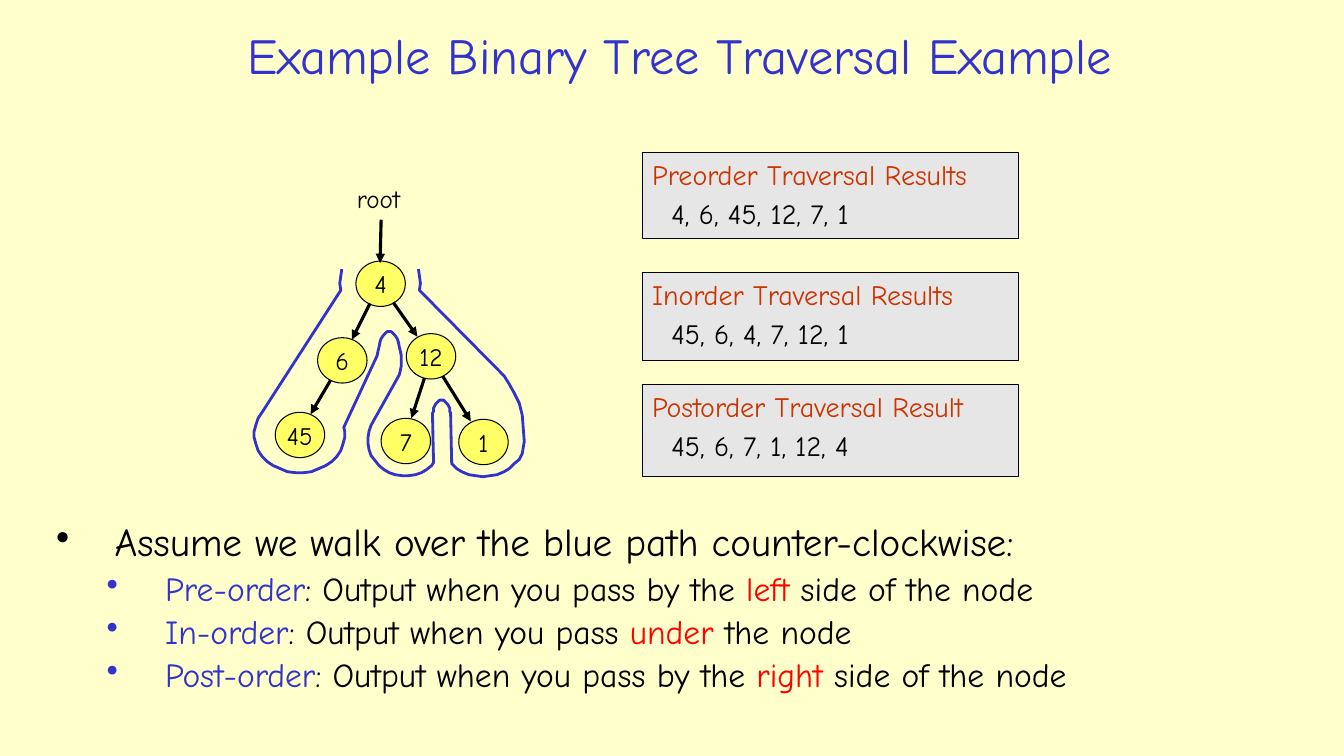
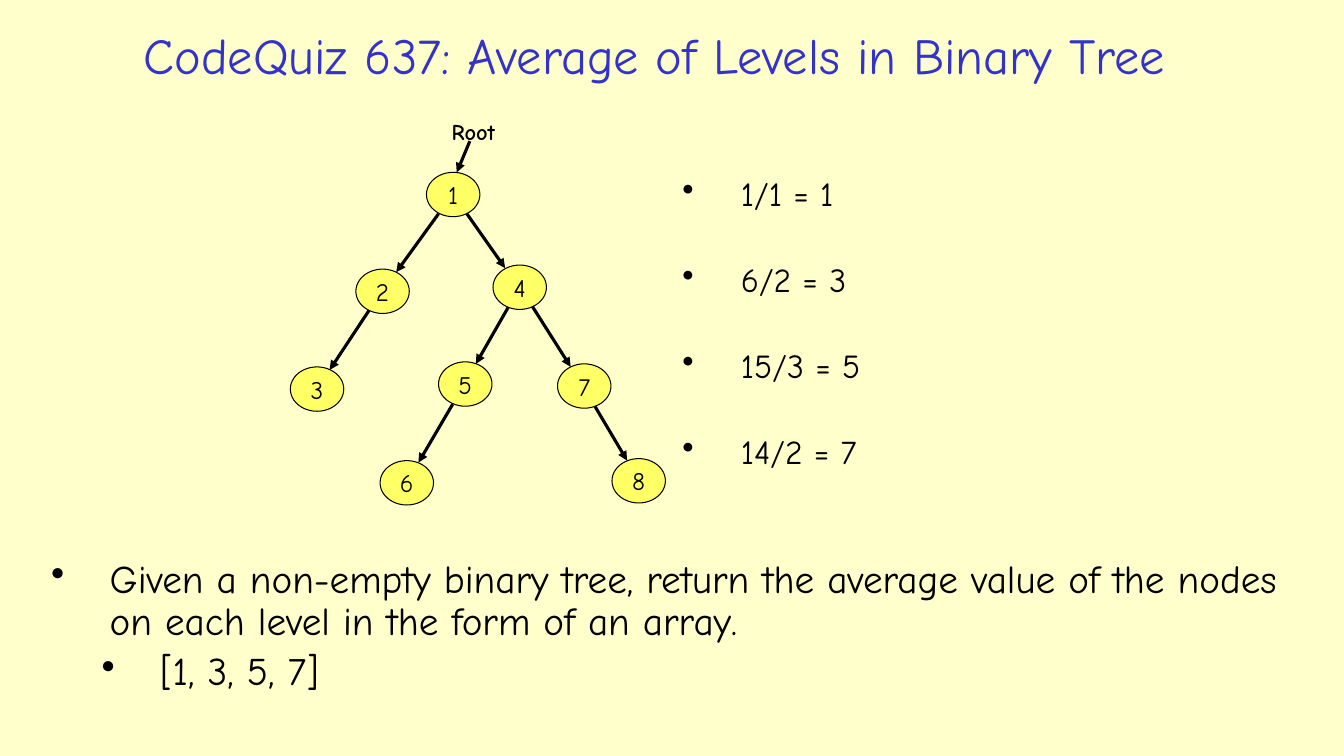
import math

from lxml import etree
from pptx import Presentation
from pptx import util as u
from pptx.dml.color import RGBColor
from pptx.enum import shapes, text
from pptx.oxml import ns

PX = 9144
CREAM = RGBColor(0xFF, 0xFF, 0xCC)
BLUE = RGBColor(0x33, 0x33, 0xCC)
RUST = RGBColor(0xCC, 0x33, 0x00)
RED = RGBColor(0xFF, 0x00, 0x00)
GREY = RGBColor(0xE6, 0xE6, 0xE6)
GOLD = RGBColor(0xFF, 0xFF, 0x66)
BLACK = RGBColor(0x00, 0x00, 0x00)
FACE = "Comic Neue"
FIT = text.MSO_AUTO_SIZE.SHAPE_TO_FIT_TEXT
MID = text.MSO_ANCHOR.MIDDLE
MAIN = dict(left=58, hang=58, size=28)
SUB = dict(left=108, hang=58, size=24, level=1)


def px(*nums):
    return [u.Emu(round(n) * PX) for n in nums]


def put(obj, form):
    for key, val in form.items():
        setattr(obj, key, val)


def arc(hub, wide, high, start, stop, step=10):
    turn = step if stop > start else -step
    for deg in [*range(start, stop, turn), stop]:
        ang = math.radians(deg)
        yield hub[0] + wide * math.cos(ang), hub[1] + high * math.sin(ang)


def rim(hub, goal, wide, high):
    dx, dy = goal[0] - hub[0], goal[1] - hub[1]
    part = 1 / math.hypot(2 * dx / wide, 2 * dy / high)
    return hub[0] + dx * part, hub[1] + dy * part


class Deck:
    def __init__(self):
        self.prs = Presentation()
        self.prs.slide_width, self.prs.slide_height = px(1333, 750)
        self.slide = None

    def page(self, name, left, width):
        self.slide = self.prs.slides.add_slide(self.prs.slide_layouts[6])
        fill = self.slide.background.fill
        fill.solid()
        fill.fore_color.rgb = CREAM
        frame = self.area((left, 16, width, 76), vertical_anchor=MID)
        self.para(frame, name, 36, BLUE, align=text.PP_ALIGN.CENTER)

    def area(self, at, **form):
        frame = self.slide.shapes.add_textbox(*px(*at)).text_frame
        put(frame, dict(word_wrap=True) | form)
        return frame

    def para(self, frame, runs, size, tint=BLACK, align=text.PP_ALIGN.LEFT,
             left=0, hang=0, level=0, gap=None, bold=False):
        first = not frame.paragraphs[0].runs
        par = frame.paragraphs[0] if first else frame.add_paragraph()
        prop = par._p.get_or_add_pPr()
        prop.set("marL", str(left * PX))
        prop.set("indent", str(-hang * PX))
        form = dict(alignment=align, level=level)
        if hang:
            etree.SubElement(prop, ns.qn("a:buFontTx"))
            etree.SubElement(prop, ns.qn("a:buChar")).set("char", "•")
            form["line_spacing"] = 0.9
        if not first:
            form["space_before"] = u.Pt(size * 0.2 if gap is None else gap)
        put(par, form)
        for words, hue in [(runs, tint)] if isinstance(runs, str) else runs:
            run = par.add_run()
            run.text = words
            put(run.font, dict(name=FACE, size=u.Pt(size), bold=bold))
            run.font.color.rgb = hue

    def shape(self, kind, at, tint, **form):
        item = self.slide.shapes.add_shape(kind, *px(*at))
        item.shadow.inherit = False
        item.fill.solid()
        item.fill.fore_color.rgb = tint
        item.line.color.rgb = BLACK
        item.line.width = u.Pt(0.75)
        put(item.text_frame, form)
        return item.text_frame

    def card(self, head, body, top, high):
        frame = self.shape(shapes.MSO_SHAPE.RECTANGLE, (637, top, 373, high), GREY,
                           word_wrap=True, vertical_anchor=text.MSO_ANCHOR.TOP)
        self.para(frame, head, 20, RUST)
        self.para(frame, body, 20, left=19)

    def label(self, word, at, size, bold=False):
        frame = self.area(at, word_wrap=False, auto_size=FIT)
        self.para(frame, word, size, bold=bold)

    def arrow(self, tail, head):
        line = self.slide.shapes.add_connector(
            shapes.MSO_CONNECTOR.STRAIGHT, *px(*tail, *head))
        line.line.color.rgb = BLACK
        line.line.width = u.Pt(2.25)
        prop = line._element.spPr
        tip = etree.SubElement(prop.find(ns.qn("a:ln")), ns.qn("a:tailEnd"))
        tip.set("type", "triangle")
        etree.SubElement(prop, ns.qn("a:effectLst"))

    def tree(self, hubs, kids, wide, high):
        for word, (x, y) in hubs.items():
            at = (x - wide // 2, y - high // 2, wide, high)
            frame = self.shape(shapes.MSO_SHAPE.OVAL, at, GOLD,
                               word_wrap=False, vertical_anchor=MID)
            self.para(frame, word, 18, align=text.PP_ALIGN.CENTER)
        for top, lows in kids.items():
            for low in lows:
                ends = hubs[top], hubs[low]
                self.arrow(rim(*ends, wide, high), rim(*ends[::-1], wide, high))

    def trail(self, arcs):
        dots = [dot for bend in arcs for dot in arc(*bend)]
        pen = self.slide.shapes.build_freeform(*dots[0], scale=PX)
        pen.add_line_segments(dots[1:], close=False)
        item = pen.convert_to_shape()
        item.shadow.inherit = False
        item.fill.background()
        item.line.color.rgb = BLUE
        item.line.width = u.Pt(2)


def walks(deck):
    deck.page("Example Binary Tree Traversal Example", 197, 954)
    deck.card("Preorder Traversal Results", "4, 6, 45, 12, 7, 1", 151, 86)
    deck.card("Inorder Traversal Results", "45, 6, 4, 7, 12, 1", 270, 88)
    deck.card("Postorder Traversal Result", "45, 6, 7, 1, 12, 4", 381, 92)
    hubs = {"4": (377, 281), "6": (339, 357), "12": (427, 353),
            "45": (297, 431), "7": (402, 437), "1": (479, 438)}
    deck.tree(hubs, {"4": ["6", "12"], "6": ["45"], "12": ["7", "1"]}, 49, 45)
    deck.label("root", (344, 177, 71, 40), 18)
    deck.arrow((378, 218), (377, 261))
    upper, lower = (386, 358), (438, 413)
    deck.trail([(hubs["4"], 40, 40, 200, 170),
                (hubs["45"], 45, 38, 215, -10),
                (upper, 12, 29, 190, 390),
                (hubs["7"], 37, 35, 205, 40),
                (lower, 9, 16, 180, 360),
                (hubs["1"], 41, 35, 140, 0),
                (hubs["1"], 41, 75, 0, -60),
                (hubs["4"], 40, 40, 10, -20)])
    frame = deck.area((46, 514, 1210, 170))
    deck.para(frame, "Assume we walk over the blue path counter-clockwise:", **MAIN)
    for name, lead, key, rest in [
            ("Pre-order", "by the ", "left ", "side of the node"),
            ("In-order", "", "under ", "the node"),
            ("Post-order", "by the ", "right ", "side of the node")]:
        runs = [(name, BLUE), (": Output when you pass " + lead, BLACK),
                (key, RED), (rest, BLACK)]
        deck.para(frame, runs, **SUB)


def levels(deck):
    deck.page("CodeQuiz 637: Average of Levels in Binary Tree", 32, 1234)
    hubs = {"1": (449, 193), "2": (379, 289), "4": (515, 285), "3": (314, 386),
            "5": (461, 381), "7": (579, 383), "6": (403, 479), "8": (633, 477)}
    kids = {"1": ["2", "4"], "2": ["3"], "4": ["5", "7"], "5": ["6"], "7": ["8"]}
    deck.tree(hubs, kids, 53, 44)
    deck.label("Root", (438, 112, 69, 37), 16, bold=True)
    deck.arrow((466, 140), (453, 171))
    frame = deck.area((41, 550, 1258, 184))
    deck.para(frame, "Given a non-empty binary tree, return the average value of "
              "the nodes on each level in the form of an array.", **MAIN)
    deck.para(frame, "[1, 3, 5, 7]", **SUB | dict(size=28))
    frame = deck.area((667, 171, 283, 342))
    for line in ("1/1 = 1", "6/2 = 3", "15/3 = 5", "14/2 = 7"):
        deck.para(frame, line, **MAIN | dict(size=24, gap=35.5))


def main():
    deck = Deck()
    walks(deck)
    levels(deck)
    deck.prs.save("out.pptx")


if __name__ == "__main__":
    main()
